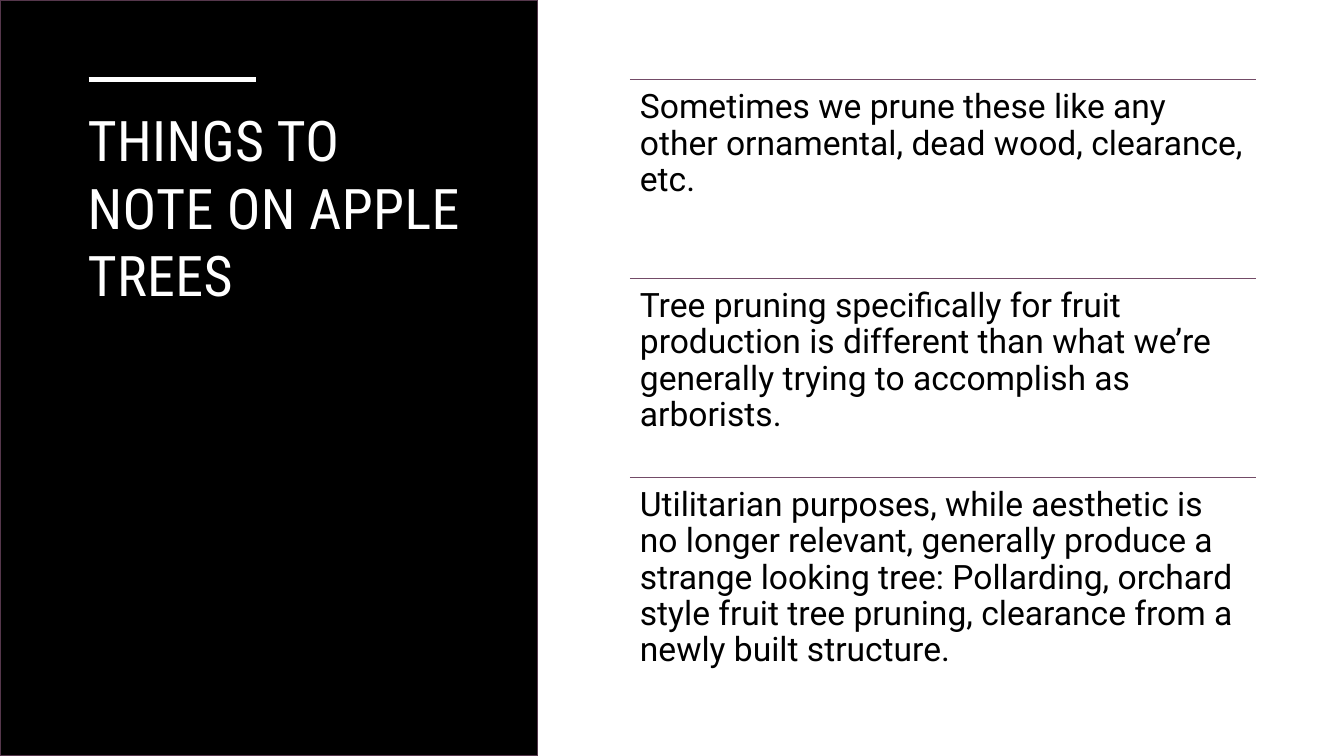
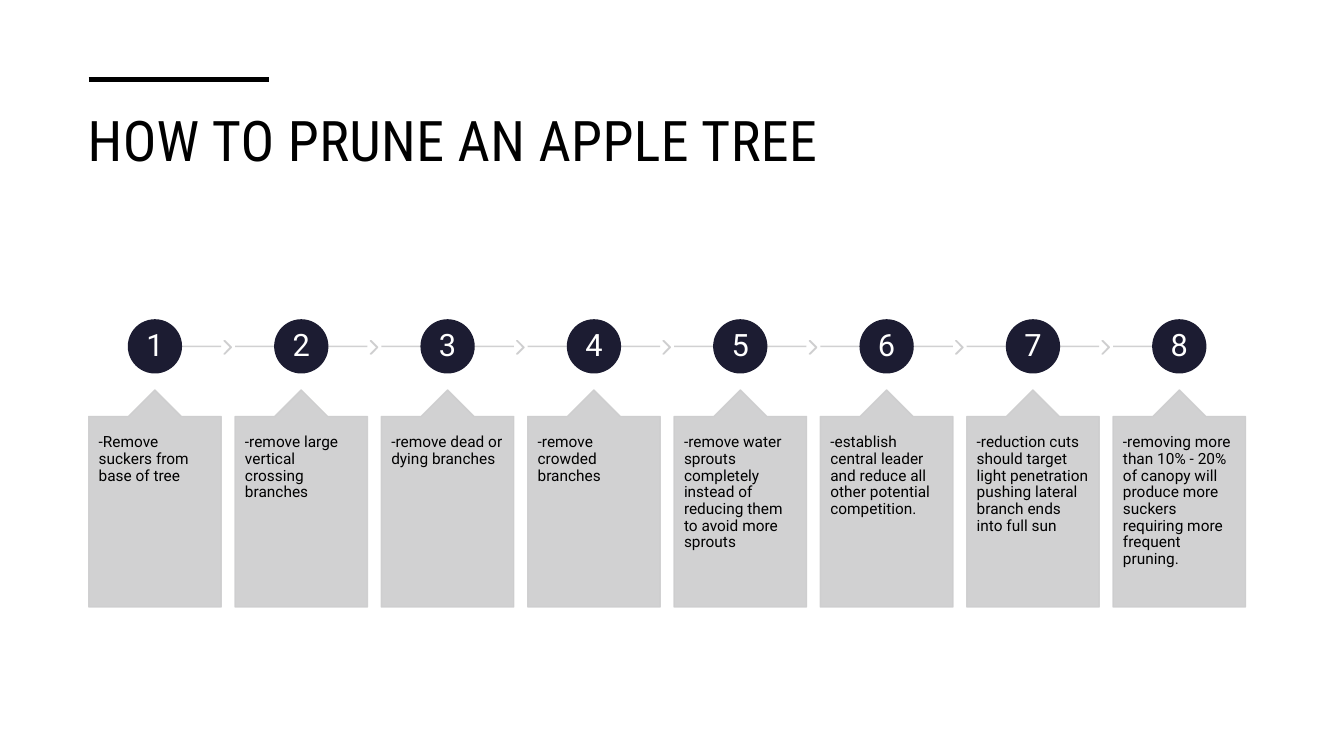
from pptx import Presentation
from pptx.dml.color import RGBColor
from pptx.enum.shapes import MSO_CONNECTOR, MSO_SHAPE
from pptx.enum.text import MSO_ANCHOR, MSO_AUTO_SIZE, PP_ALIGN
from pptx.oxml.ns import qn
from pptx.util import Pt
from lxml import etree

BLACK = RGBColor(0x00, 0x00, 0x00)
WHITE = RGBColor(0xFF, 0xFF, 0xFF)
PLUM_DARK = RGBColor(0x55, 0x37, 0x4C)
PLUM = RGBColor(0x73, 0x4B, 0x67)
NAVY = RGBColor(0x1C, 0x1C, 0x32)
GREY = RGBColor(0xCD, 0xCD, 0xCE)
TITLE_FONT, BODY_FONT = "Roboto Condensed", "Roboto"
LEFT, CENTER = PP_ALIGN.LEFT, PP_ALIGN.CENTER
TOP, MIDDLE = MSO_ANCHOR.TOP, MSO_ANCHOR.MIDDLE
STRAIGHT = MSO_CONNECTOR.STRAIGHT
RECTANGLE, OVAL = MSO_SHAPE.RECTANGLE, MSO_SHAPE.OVAL
CHEVRON, CALLOUT = MSO_SHAPE.CHEVRON, MSO_SHAPE.UP_ARROW_CALLOUT

MARGIN = 63.36
RULE_TOP = 56.9
OPACITY = "90000"


def add_line(page, left, right, top, colour, width):
    line = page.shapes.add_connector(STRAIGHT, Pt(left), Pt(top), Pt(right), Pt(top))
    line.line.color.rgb = colour
    line.line.width = Pt(width)
    etree.SubElement(line.element.spPr, qn("a:effectLst"))
    return line


def set_text(box, text, size, colour, font=BODY_FONT, spacing=0.9,
             align=LEFT, anchor=TOP, inset_x=7.2, inset_y=7.2):
    frame = box.text_frame
    frame.text = text
    frame.word_wrap = True
    frame.auto_size = MSO_AUTO_SIZE.NONE
    frame.vertical_anchor = anchor
    frame.margin_left = frame.margin_right = Pt(inset_x)
    frame.margin_top = frame.margin_bottom = Pt(inset_y)
    para = frame.paragraphs[0]
    para.alignment = align
    para.line_spacing = spacing
    span = para.runs[0]
    span.font.size = Pt(size)
    span.font.name = font
    span.font.color.rgb = colour


deck = Presentation()
deck.slide_width, deck.slide_height = Pt(960), Pt(540)

# Shared title style: a short heavy rule above a large condensed title
headings = [
    ("THINGS TO NOTE ON APPLE TREES", WHITE, 182.9, 293, 288.7),
    ("HOW TO PRUNE AN APPLE TREE", BLACK, 192.2, 850.3, 82.8),
]
for text, colour, rule_right, width, height in headings:
    page = deck.slides.add_slide(deck.slide_layouts[5])
    title = page.shapes.title
    title.left, title.top = Pt(55.44), Pt(72)
    title.width, title.height = Pt(width), Pt(height)
    set_text(title, text, 40, colour, TITLE_FONT, spacing=1.0, inset_y=3.6)
    title.text_frame.paragraphs[0].runs[0].font._element.set("spc", "30")
    add_line(page, MARGIN, rule_right, RULE_TOP, colour, 3.5)

notes_page, steps_page = deck.slides

# Slide 1: black side panel behind the title
panel = notes_page.shapes.add_shape(RECTANGLE, 0, 0, Pt(384), Pt(540))
panel.shadow.inherit = False
panel.fill.solid()
panel.fill.fore_color.rgb = BLACK
panel.line.color.rgb = PLUM_DARK
panel.line.width = Pt(1)
notes_page.shapes.title.element.addprevious(panel.element)

# Slide 1: ruled notes
notes = [
    "Sometimes we prune these like any other ornamental, dead wood, clearance, etc.",
    "Tree pruning specifically for fruit production is different than what we’re "
    "generally trying to accomplish as arborists.",
    "Utilitarian purposes, while aesthetic is no longer relevant, generally produce "
    "a strange looking tree: Pollarding, orchard style fruit tree pruning, clearance "
    "from a newly built structure.",
]
NOTE_LEFT, NOTE_WIDTH, NOTE_HEIGHT = 450, 447.1, 142.1
for index, note in enumerate(notes):
    top = RULE_TOP + index * NOTE_HEIGHT
    add_line(notes_page, NOTE_LEFT, NOTE_LEFT + NOTE_WIDTH, top, PLUM, 1)
    box = notes_page.shapes.add_textbox(
        Pt(NOTE_LEFT), Pt(top), Pt(NOTE_WIDTH), Pt(NOTE_HEIGHT))
    set_text(box, note, 24, BLACK)

# Slide 2: numbered steps along a track, each with a callout
steps = [
    "-Remove suckers from base of tree",
    "-remove large vertical crossing branches",
    "-remove dead or dying branches",
    "-remove crowded branches",
    "-remove water sprouts completely instead of reducing them to avoid more sprouts",
    "-establish central leader and reduce all other potential competition.",
    "-reduction cuts should target light penetration pushing lateral branch ends "
    "into full sun",
    "-removing more than 10% - 20% of canopy will produce more suckers requiring "
    "more frequent pruning.",
]
STEP_WIDTH, STEP_PITCH = 94.6, 104.53
TRACK_TOP, CIRCLE = 247.4, 37.8
last = len(steps) - 1
for index, step in enumerate(steps):
    left = MARGIN + index * STEP_PITCH
    right = left + STEP_WIDTH
    middle = left + STEP_WIDTH / 2

    track = add_line(steps_page, left if index else middle,
                     right if index < last else middle, TRACK_TOP, GREY, 1)
    callout = steps_page.shapes.add_shape(
        CALLOUT, Pt(left), Pt(278.6), Pt(STEP_WIDTH), Pt(155))
    for position, value in enumerate((0.5, 0.2, 0.2, 1)):
        callout.adjustments[position] = value
    grey_shapes = [callout]
    if index < last:
        arrow = steps_page.shapes.add_shape(
            CHEVRON, Pt(right + 2.1), Pt(TRACK_TOP - 4), Pt(5.2), Pt(9.4))
        arrow.adjustments[0] = 0.9
        grey_shapes.append(arrow)
    circle = steps_page.shapes.add_shape(
        OVAL, Pt(middle - CIRCLE / 2), Pt(TRACK_TOP - CIRCLE / 2), Pt(CIRCLE), Pt(CIRCLE))

    for shape in [circle] + grey_shapes:
        colour = NAVY if shape is circle else GREY
        shape.shadow.inherit = False
        shape.fill.solid()
        shape.fill.fore_color.rgb = colour
        shape.line.color.rgb = colour
        shape.line.width = Pt(1)

    # Slight transparency on everything grey
    for shape in [track] + grey_shapes:
        for tint in shape.element.spPr.iter(qn("a:srgbClr")):
            etree.SubElement(tint, qn("a:alpha"), val=OPACITY)

    set_text(circle, str(index + 1), 22, WHITE, align=CENTER, anchor=MIDDLE,
             inset_x=0, inset_y=0)
    set_text(callout, step, 11, BLACK, inset_y=12.96)

deck.save("out.pptx")
